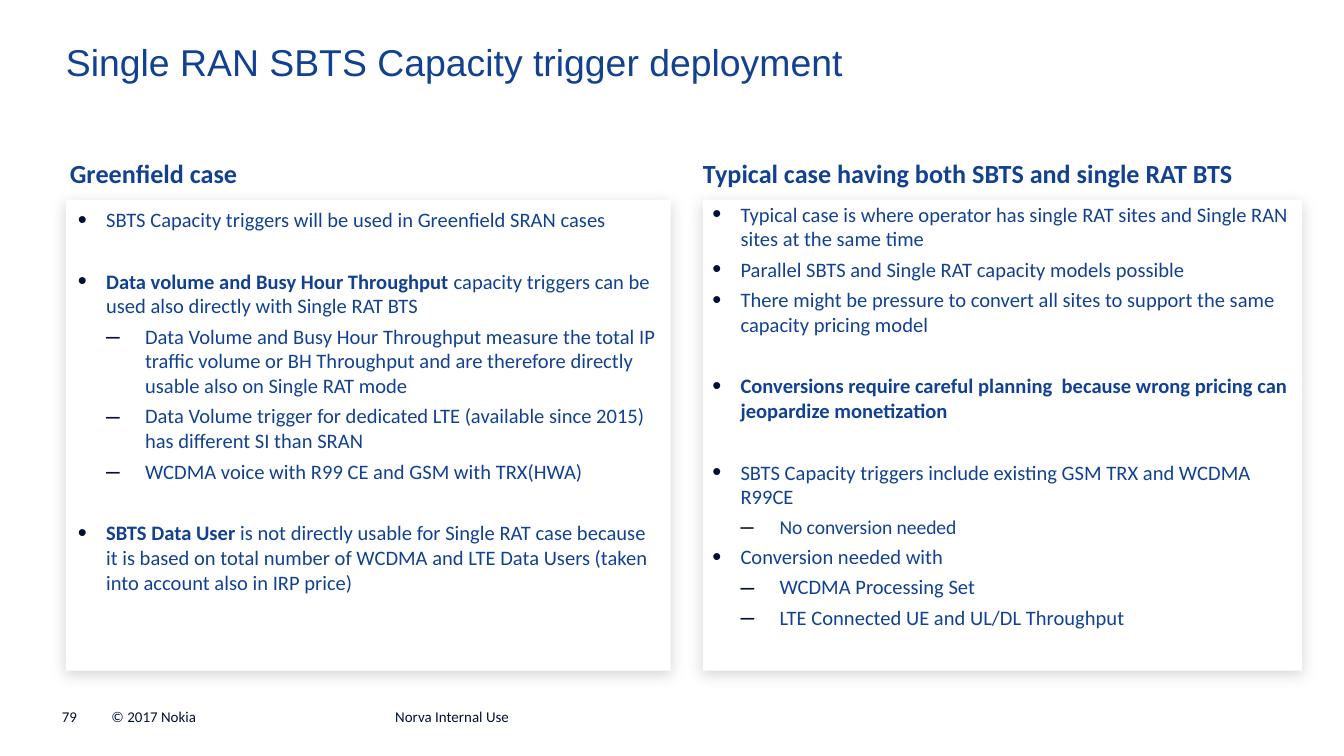
import pptx
import pptx.util
import pptx.dml.color
import pptx.enum.shapes
import pptx.enum.text
import pptx.oxml
import pptx.oxml.ns

Inches = pptx.util.Inches
Pt = pptx.util.Pt
RGBColor = pptx.dml.color.RGBColor
ANCHOR = pptx.enum.text.MSO_ANCHOR

BLUE = RGBColor(0x12, 0x41, 0x91)
BODY = RGBColor(0x12, 0x41, 0x92)
NAVY = RGBColor(0x00, 0x11, 0x35)
WHITE = RGBColor(0xFF, 0xFF, 0xFF)
GRAY = RGBColor(0x80, 0x80, 0x80)

TITLE = "Single RAN SBTS Capacity trigger deployment"
TIGHT, WIDE = 3.1, 19.8

LEFT = [
    (1, 0, "", "SBTS Capacity triggers will be used in Greenfield SRAN cases", 11),
    (1, WIDE, "Data volume and Busy Hour Throughput ",
     "capacity triggers can be used also directly with Single RAT BTS", 11),
    (2, TIGHT, "", "Data Volume and Busy Hour Throughput measure the total IP traffic "
     "volume or BH Throughput and are therefore directly usable also on Single RAT mode", 11),
    (2, TIGHT, "", "Data Volume trigger for dedicated LTE (available since 2015) "
     "has different SI than SRAN", 11),
    (2, TIGHT, "", "WCDMA voice with R99 CE and GSM with TRX(HWA)", 11),
    (1, WIDE, "SBTS Data User ", "is not directly usable for Single RAT case because it is "
     "based on total number of WCDMA and LTE Data Users (taken into account also in IRP price)", 11),
]
RIGHT = [
    (1, 0, "", "Typical case is where operator has single RAT sites and Single RAN "
     "sites at the same time", 11),
    (1, TIGHT, "", "Parallel SBTS and Single RAT capacity models possible", 11),
    (1, TIGHT, "", "There might be pressure to convert all sites to support the same "
     "capacity pricing model", 11),
    (1, WIDE, "Conversions require careful planning  because wrong pricing can "
     "jeopardize monetization", "", 11),
    (1, WIDE, "", "SBTS Capacity triggers include existing GSM TRX and WCDMA R99CE", 11),
    (2, TIGHT, "", "No conversion needed", 10.5),
    (1, TIGHT, "", "Conversion needed with", 11),
    (2, TIGHT, "", "WCDMA Processing Set", 11),
    (2, TIGHT, "", "LTE Connected UE and UL/DL Throughput", 11),
]
PANELS = [
    ("Greenfield case", (0.52, 1.17, 4.46, 0.24), (0.49, 1.49, 4.5, 3.5),
     (0.58, 1.54, 4.33, 2.98), LEFT),
    ("Typical case having both SBTS and single RAT BTS", (5.23, 1.17, 4.49, 0.24),
     (5.23, 1.49, 4.46, 3.5), (5.3, 1.5, 4.35, 3.32), RIGHT),
]
FOOTER = [("79", 0.46, 0.28), ("© 2017 Nokia", 0.83, 1.97),
          ("Norva Internal Use", 2.94, 2.82)]
BULLETS = {1: ("•", 125, 0.21, 0.21), 2: ("–", 120, 0.5, 0.29)}


def style(font, size, color, bold=False, name="Calibri"):
    font.size, font.bold, font.name = Pt(size), bold, name
    font.color.rgb = color


def bare(frame, anchor=ANCHOR.TOP):
    frame.margin_left = frame.margin_right = 0
    frame.margin_top = frame.margin_bottom = 0
    frame.word_wrap = True
    frame.auto_size = pptx.enum.text.MSO_AUTO_SIZE.NONE
    frame.vertical_anchor = anchor
    return frame


def add_text(slide, box, anchor=ANCHOR.TOP):
    return bare(slide.shapes.add_textbox(*map(Inches, box)).text_frame, anchor)


def add_label(slide, text, box, size, color, bold=False, anchor=ANCHOR.TOP):
    frame = add_text(slide, box, anchor)
    frame.text = text
    style(frame.paragraphs[0].runs[0].font, size, color, bold)


def add_card(slide, box):
    card = slide.shapes.add_shape(
        pptx.enum.shapes.MSO_SHAPE.RECTANGLE, *map(Inches, box))
    card.fill.solid()
    card.fill.fore_color.rgb = WHITE
    card.line.fill.background()
    card.shadow.inherit = False
    glow = card._element.spPr.find(pptx.oxml.ns.qn("a:effectLst"))
    glow.append(pptx.oxml.parse_xml(
        f'<a:outerShdw {pptx.oxml.ns.nsdecls("a")} blurRad="{Pt(8)}" dist="{Pt(2)}" '
        f'dir="5400000" algn="t" rotWithShape="0"><a:srgbClr val="{GRAY}">'
        '<a:alpha val="33000"/></a:srgbClr></a:outerShdw>'))


def set_bullet(para, level):
    mark, scale, left, hang = BULLETS[level]
    props = para._p.get_or_add_pPr()
    props.set("marL", str(Inches(left)))
    props.set("indent", str(-Inches(hang)))
    for tag in (f'buClr %s><a:srgbClr val="{NAVY}"/></a:buClr>',
                f'buSzPct %s val="{scale * 1000}"/>',
                'buFont %s typeface="Arial"/>',
                f'buChar %s char="{mark}"/>'):
        props.append(pptx.oxml.parse_xml("<a:" + tag % pptx.oxml.ns.nsdecls("a")))


def add_list(slide, box, items):
    frame = add_text(slide, box)
    for index, (level, gap, bold, plain, size) in enumerate(items):
        para = frame.add_paragraph() if index else frame.paragraphs[0]
        para.level = level
        set_bullet(para, level)
        para.space_before = Pt(gap)
        for text, heavy in ((bold, True), (plain, False)):
            if text:
                run = para.add_run()
                run.text = text
                style(run.font, size, BODY, heavy)


def main():
    deck = pptx.Presentation()
    deck.slide_width = Inches(10)
    deck.slide_height = deck.slide_width * 9 // 16
    slide = deck.slides.add_slide(deck.slide_layouts[5])

    title = slide.shapes.title
    title.left, title.top, title.width, title.height = map(Inches, (0.49, 0.29, 9.09, 0.34))
    frame = bare(title.text_frame)
    frame.text = TITLE
    para = frame.paragraphs[0]
    para.alignment = pptx.enum.text.PP_ALIGN.LEFT
    style(para.runs[0].font, 20, BLUE, name="Arial")

    for head, top, card, body, items in PANELS:
        add_card(slide, card)
        add_label(slide, head, top, 14, BLUE, True)
        add_list(slide, body, items)
    for text, left, width in FOOTER:
        add_label(slide, text, (left, 5.27, width, 0.13), 8, NAVY, anchor=ANCHOR.BOTTOM)
    deck.save("out.pptx")


if __name__ == "__main__":
    main()
